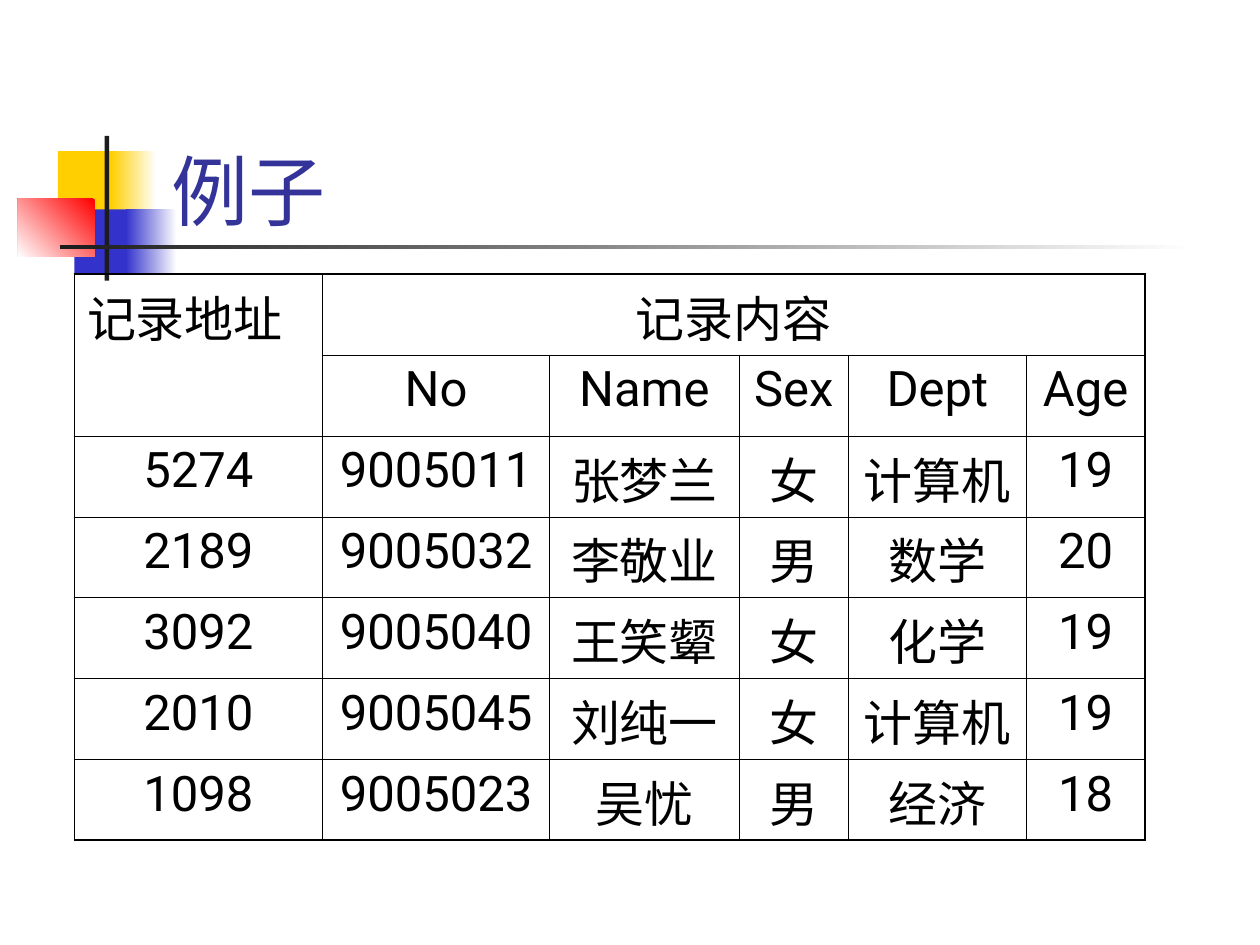
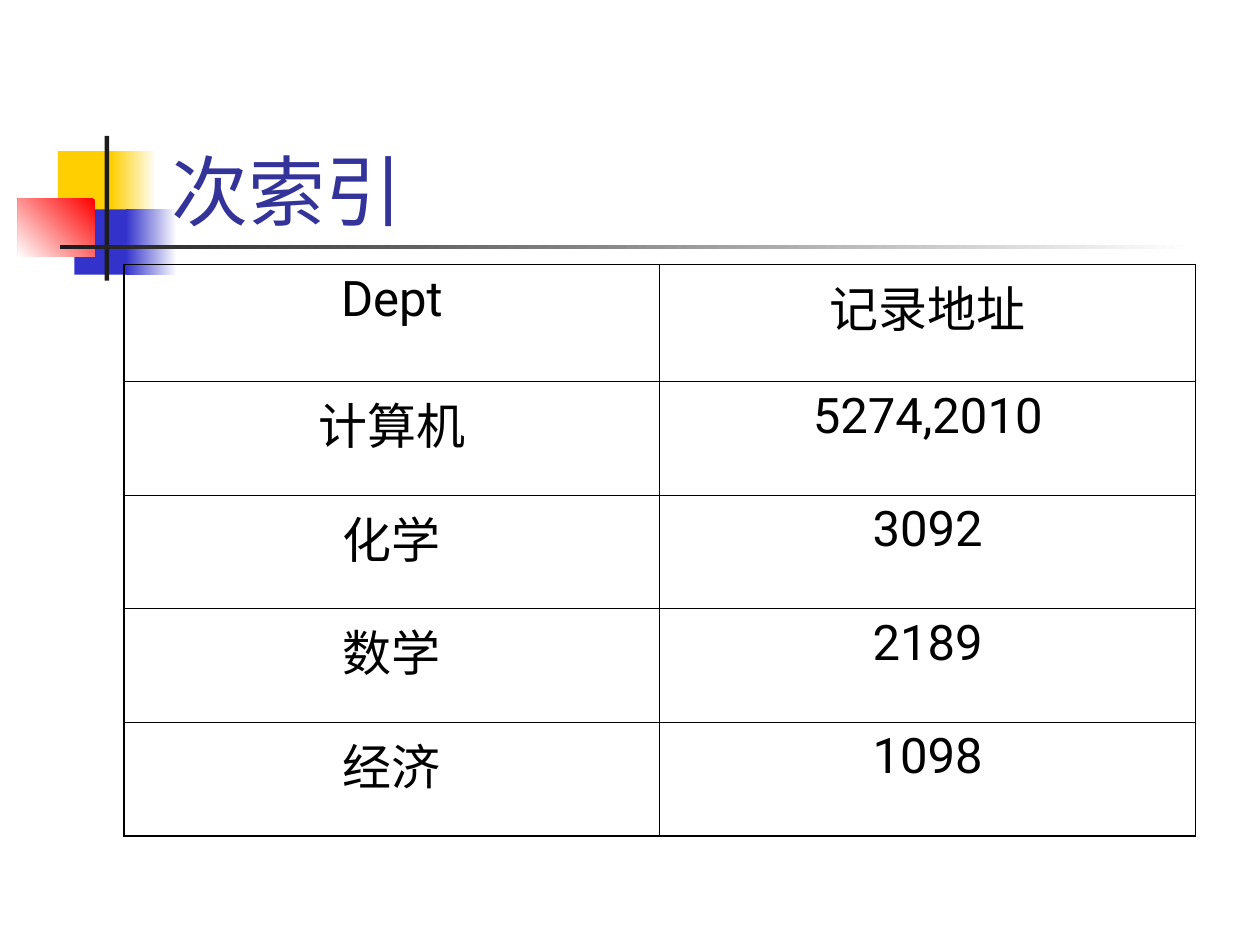
from lxml import etree
from pptx import Presentation
from pptx.dml.color import RGBColor
from pptx.enum.shapes import MSO_SHAPE
from pptx.enum.text import MSO_ANCHOR, PP_ALIGN
from pptx.oxml.ns import qn
from pptx.util import Cm, Pt

RECT = MSO_SHAPE.RECTANGLE
BOTTOM = MSO_ANCHOR.BOTTOM
LEFT, CENTER = PP_ALIGN.LEFT, PP_ALIGN.CENTER

WHITE, BLACK, DARK = "FFFFFF", "000000", "1C1C1C"
YELLOW, BLUE, RED, TITLE_BLUE = "FFCF01", "3333CC", "FF0000", "333399"

TITLE_FONT = {"name": "Roboto", "size": Pt(44)}
CELL_FONT = {"name": "Roboto", "size": Pt(28)}
THIN, THICK = 0.45, 1.08

MOTIF_BOX = (0.36, 2.74)
TITLE_BOX = (3.2, 1.7, 21.64, 3.18)
MOTIF = [
    ((0.81, 0.31, 1.22, 1.32), (YELLOW,), 0),
    ((1.88, 0.31, 0.91, 1.32), (WHITE, YELLOW), 180),
    ((1.14, 1.48, 1.17, 1.32), (BLUE,), 0),
    ((2.18, 1.48, 1.02, 1.32), (WHITE, BLUE), 180),
    ((0, 1.27, 1.55, 1.17), (RED, WHITE), 225),
    ((1.75, 0, 0.09, 2.92), (DARK,), 0),
    ((0.86, 2.2, 22.86, 0.09), (WHITE, DARK), 180),
]

RECORDS = [
    ["记录地址", "记录内容", "", "", "", ""],
    ["", "No", "Name", "Sex", "Dept", "Age"],
    ["5274", "9005011", "张梦兰", "女", "计算机", "19"],
    ["2189", "9005032", "李敬业", "男", "数学", "20"],
    ["3092", "9005040", "王笑颦", "女", "化学", "19"],
    ["2010", "9005045", "刘纯一", "女", "计算机", "19"],
    ["1098", "9005023", "吴忧", "男", "经济", "18"],
]
INDEX = [
    ["Dept", "记录地址"],
    ["计算机", "5274,2010"],
    ["化学", "3092"],
    ["数学", "2189"],
    ["经济", "1098"],
]


def rgb(value):
    """Turn a hex string into a colour."""
    return RGBColor.from_string(value)


def write(p, text, fmt, color, align):
    """Write one formatted run into a paragraph."""
    p.alignment = align
    r = p.add_run()
    r.text = text
    for name, value in fmt.items():
        setattr(r.font, name, value)
    r.font.color.rgb = rgb(color)


def add_motif(s, box):
    """Draw the coloured squares and the two rules."""
    left, top = box
    for (x, y, w, h), colors, angle in MOTIF:
        sp = s.shapes.add_shape(RECT, Cm(left + x), Cm(top + y), Cm(w), Cm(h))
        sp.shadow.inherit = False
        sp.line.fill.background()
        if len(colors) == 1:
            sp.fill.solid()
            sp.fill.fore_color.rgb = rgb(colors[0])
            continue
        sp.fill.gradient()
        sp.fill.gradient_angle = angle
        for stop, color in zip(sp.fill.gradient_stops, colors):
            stop.color.rgb = rgb(color)


def add_title(s, text, box):
    """Place the slide title at the bottom of its box."""
    tf = s.shapes.add_textbox(*map(Cm, box)).text_frame
    tf.word_wrap = True
    tf.vertical_anchor = BOTTOM
    write(tf.paragraphs[0], text, TITLE_FONT, TITLE_BLUE, LEFT)


def set_border(cell, side, width):
    """Give one side of a cell a solid line."""
    ln = etree.SubElement(cell._tc.get_or_add_tcPr(), qn(f"a:ln{side}"), w=str(Pt(width)))
    fill = etree.SubElement(ln, qn("a:solidFill"))
    etree.SubElement(fill, qn("a:srgbClr"), val=BLACK)


def add_grid(s, box, widths, heights, rows, merges=(), left_cells=()):
    """Add a ruled table with a heavier outer frame."""
    n_rows, n_cols = len(heights), len(widths)
    size = (sum(widths), sum(heights))
    table = s.shapes.add_table(n_rows, n_cols, *map(Cm, box + size)).table
    table.first_row = table.horz_banding = False
    for col, width in zip(table.columns, widths):
        col.width = Cm(width)
    for row, height in zip(table.rows, heights):
        row.height = Cm(height)
    for first, last in merges:
        table.cell(*first).merge(table.cell(*last))
    for i, values in enumerate(rows):
        for j, text in enumerate(values):
            cell = table.cell(i, j)
            if cell.is_spanned:
                continue
            outer = {
                "L": j == 0,
                "R": j + cell.span_width == n_cols,
                "T": i == 0,
                "B": i + cell.span_height == n_rows,
            }
            for side, is_outer in outer.items():
                set_border(cell, side, THICK if is_outer else THIN)
            cell.fill.background()
            align = LEFT if (i, j) in left_cells else CENTER
            write(cell.text_frame.paragraphs[0], text, CELL_FONT, BLACK, align)


def add_slide(prs, title):
    """Add a blank slide with the shared motif and title."""
    s = prs.slides.add_slide(prs.slide_layouts[6])
    add_motif(s, MOTIF_BOX)
    add_title(s, title, TITLE_BOX)
    return s


def main():
    """Build both slides and save the file."""
    prs = Presentation()
    prs.slide_width, prs.slide_height = Cm(25.4), Cm(19.05)
    s = add_slide(prs, "例子")
    add_grid(s, (1.5, 5.53), (5, 4.58, 3.82, 2.2, 3.59, 2.39), (1.63,) * 7, RECORDS,
             merges=[((0, 0), (1, 0)), ((0, 1), (0, 5))], left_cells=[(0, 0)])
    s = add_slide(prs, "次索引")
    add_grid(s, (2.5, 5.33), (10.8, 10.8), (2.36,) + (2.29,) * 4, INDEX)
    prs.save("out.pptx")


if __name__ == "__main__":
    main()
